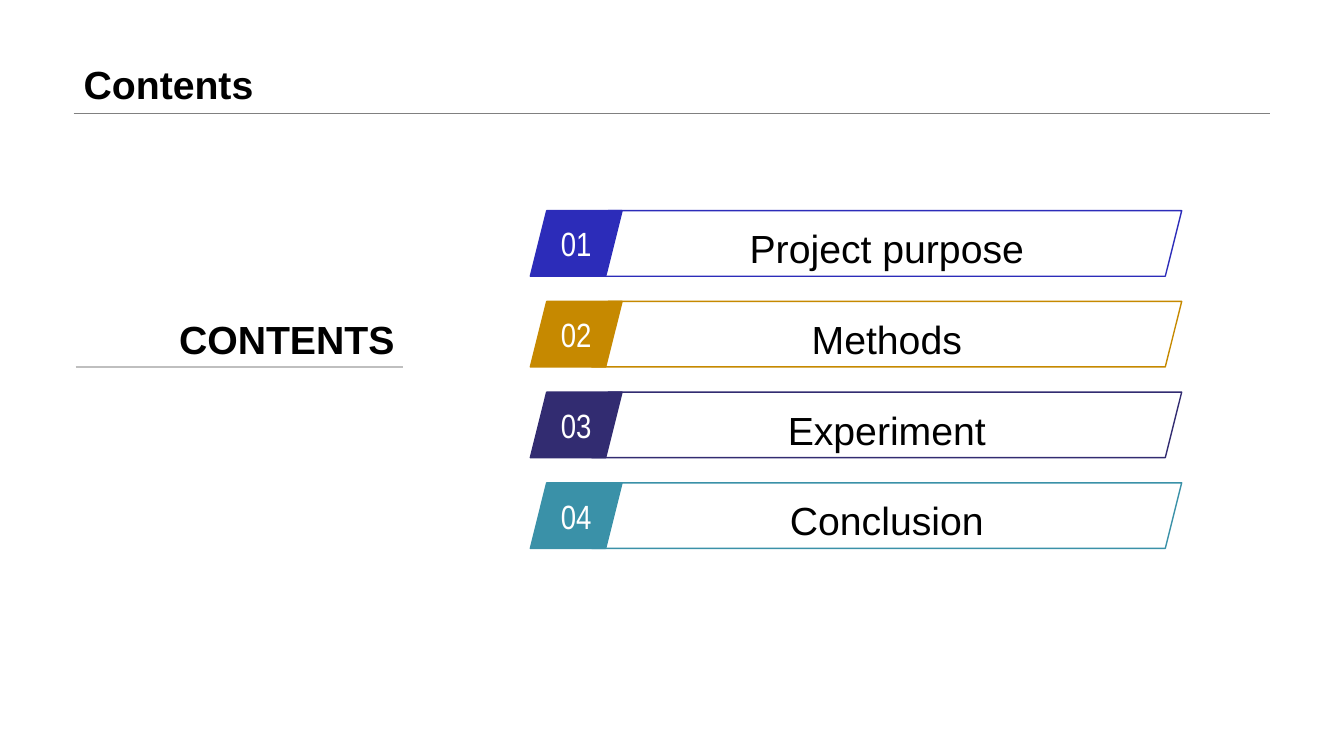
from pptx import Presentation
from pptx import util as u
from pptx.dml.color import RGBColor
from pptx.enum import shapes, text
from pptx.oxml.ns import qn
from lxml import etree

COLORS = {
    "black": "000000", "white": "FFFFFF", "rule": "808080", "accent_rule": "BFBFBF",
    "blue": "2C2CB9", "gold": "C68900", "indigo": "322C71", "teal": "3A91A8",
}
TOPICS = [("Project purpose", "blue"), ("Methods", "gold"),
          ("Experiment", "indigo"), ("Conclusion", "teal")]
HEADING = {"name": "Arial", "size": u.Pt(28), "bold": True}
LABEL = {"name": "Arial", "size": u.Pt(28), "bold": False}
NUMBER = {"name": "Arial Narrow", "size": u.Pt(24), "bold": False}
ROW_TOP, ROW_PITCH, ROW_HEIGHT = 2.09, 0.9, 0.65


def rgb(name):
    return RGBColor.from_string(COLORS[name])


def write(sp, words, font, color, align, anchor, wrap=True, spacing=1.0):
    tf = sp.text_frame
    frame = {"auto_size": text.MSO_AUTO_SIZE.NONE, "word_wrap": wrap, "vertical_anchor": anchor}
    for key, value in frame.items():
        setattr(tf, key, value)
    p = tf.paragraphs[0]
    p.alignment, p.line_spacing = align, spacing
    r = p.add_run()
    r.text = words
    for key, value in font.items():
        setattr(r.font, key, value)
    r.font.color.rgb = rgb(color)


def add_rule(s, left, right, top, color, width):
    line = s.shapes.add_connector(shapes.MSO_CONNECTOR.STRAIGHT, u.Inches(left),
                                  u.Inches(top), u.Inches(right), u.Inches(top))
    line.line.color.rgb = rgb(color)
    line.line.width = u.Pt(width)
    etree.SubElement(line._element.spPr, qn("a:effectLst"))


def add_slant(s, left, top, width, color, filled):
    sp = s.shapes.add_shape(shapes.MSO_SHAPE.PARALLELOGRAM, u.Inches(left), u.Inches(top),
                            u.Inches(width), u.Inches(ROW_HEIGHT))
    sp.shadow.inherit = False
    if filled:
        sp.fill.solid()
        sp.fill.fore_color.rgb = rgb(color)
    else:
        sp.fill.background()
    sp.line.color.rgb = rgb(color)
    sp.line.width = u.Pt(1)
    return sp


def add_topic(s, index, label, color):
    top = ROW_TOP + index * ROW_PITCH
    center, middle = text.PP_ALIGN.CENTER, text.MSO_ANCHOR.MIDDLE
    badge = add_slant(s, 5.26, top, 0.91, color, True)
    write(badge, f"{index + 1:02d}", NUMBER, "white", center, middle, wrap=False)
    bar = add_slant(s, 5.87, top, 5.85, color, False)
    write(bar, label, LABEL, "black", center, middle, spacing=1.2)


def add_title(s, words):
    title = s.shapes.title
    box = {"left": 0.73, "top": 0, "width": 11.87, "height": 1.12}
    for key, value in box.items():
        setattr(title, key, u.Inches(value))
    write(title, words, HEADING, "black", text.PP_ALIGN.LEFT, text.MSO_ANCHOR.BOTTOM,
          spacing=0.9)


def add_side_heading(s, words):
    add_rule(s, 0.75, 4, 3.64, "accent_rule", 1.5)
    sp = s.shapes.add_textbox(u.Inches(1.62), u.Inches(2.54), u.Inches(2.39), u.Inches(1.1))
    write(sp, words, HEADING, "black", text.PP_ALIGN.RIGHT, text.MSO_ANCHOR.BOTTOM, wrap=False)


def main():
    prs = Presentation()
    prs.slide_width, prs.slide_height = u.Inches(13.33), u.Inches(7.5)
    s = prs.slides.add_slide(prs.slide_layouts[5])
    add_rule(s, 0.73, 12.6, 1.12, "rule", 0.25)
    add_title(s, "Contents")
    for index, (label, color) in enumerate(TOPICS):
        add_topic(s, index, label, color)
    add_side_heading(s, "CONTENTS")
    prs.save("out.pptx")


if __name__ == "__main__":
    main()
